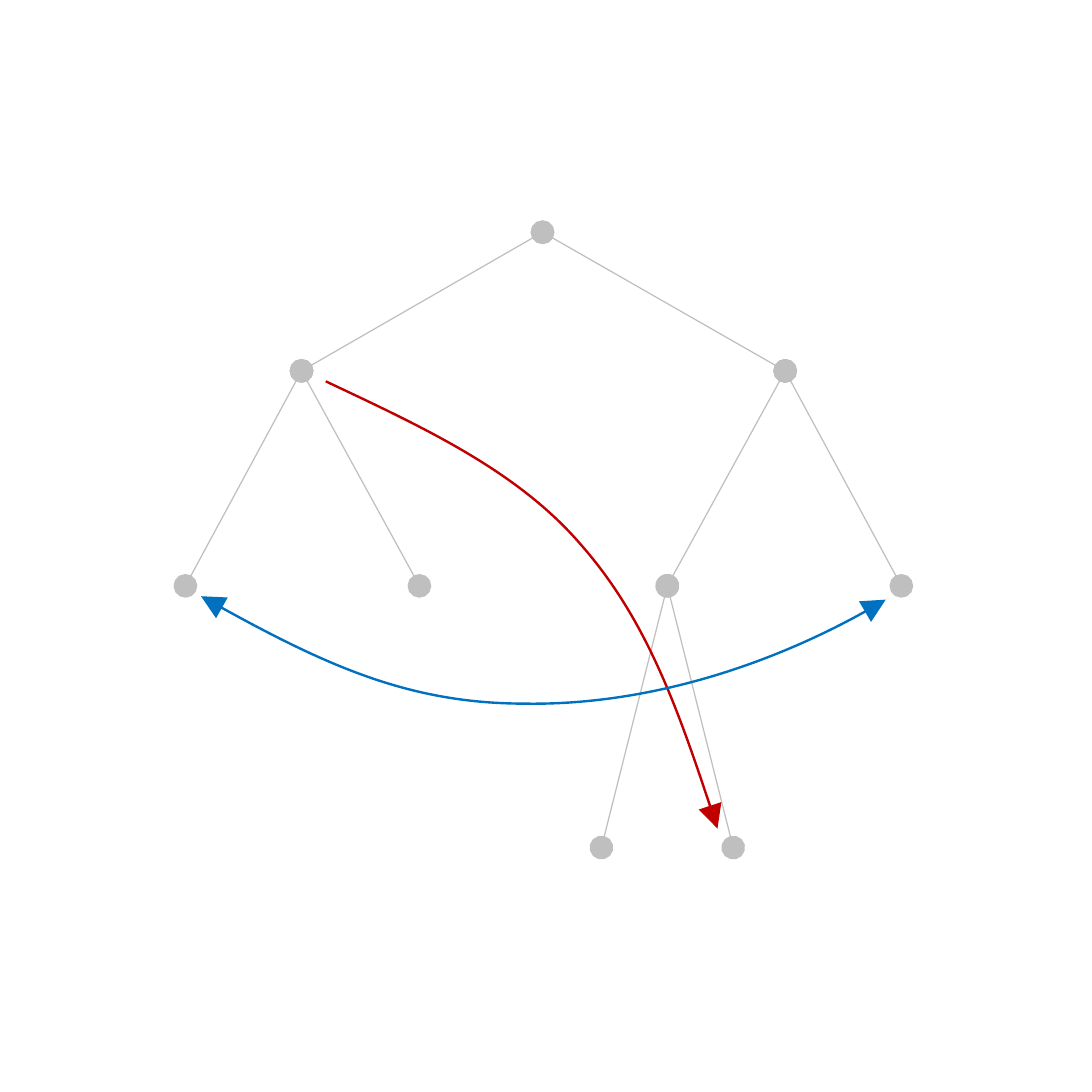
from lxml.etree import SubElement
from pptx import Presentation
from pptx.dml.color import RGBColor
from pptx.enum.shapes import MSO_CONNECTOR as Connector
from pptx.oxml.ns import qn
from pptx.util import Inches, Pt

GREY, RED, BLUE = "BFBFBF", "C00000", "0070C0"

# Tree: node centres in inches, then (child, parent) edges
nodes = {
    "root": (3.13, 1.34),
    "left": (1.74, 2.14), "right": (4.53, 2.14),
    "left outer": (1.07, 3.38), "left inner": (2.42, 3.38),
    "right inner": (3.85, 3.38), "right outer": (5.2, 3.38),
    "leaf left": (3.47, 4.89), "leaf right": (4.23, 4.89),
}
edges = [
    ("right", "root"), ("left", "root"),
    ("right inner", "right"), ("leaf left", "right inner"),
    ("right outer", "right"), ("leaf right", "right inner"),
    ("left outer", "left"), ("left inner", "left"),
]

# Curved arrows: colour, head, tail, start point and Bezier points
arrows = [
    (RED, None, "triangle",
     [(1.88, 2.2), (2.43, 2.46), (2.98, 2.71), (3.35, 3.14),
      (3.73, 3.57), (3.94, 4.17), (4.14, 4.78)]),
    (BLUE, "triangle", "triangle",
     [(1.16, 3.44), (1.85, 3.83), (2.38, 4.06), (3.03, 4.06),
      (3.69, 4.07), (4.48, 3.84), (5.11, 3.46)]),
]


def to_emu(point):
    return tuple(Inches(value) for value in point)


def style_line(shape, color, width, head, tail):
    shape.line.color.rgb = RGBColor.from_string(color)
    shape.line.width = Pt(width)
    outline = shape._element.spPr.find(qn("a:ln"))
    for tag, kind in (("a:headEnd", head), ("a:tailEnd", tail)):
        if kind:
            SubElement(outline, qn(tag), type=kind, w="lg", len="lg")


def add_edge(page, child, parent):
    edge = page.shapes.add_connector(
        Connector.STRAIGHT, *to_emu(nodes[child]), *to_emu(nodes[parent]))
    style_line(edge, GREY, 0.5, "oval", "oval")
    SubElement(edge._element.spPr, qn("a:effectLst"))


def add_curve(page, color, head, tail, points):
    start, *rest = [to_emu(point) for point in points]
    builder = page.shapes.build_freeform(*start)
    builder.add_line_segments(rest, close=False)
    curve = builder.convert_to_shape()
    curve.fill.background()
    curve.shadow.inherit = False
    style_line(curve, color, 1, head, tail)
    # Turn each three straight steps into one cubic Bezier
    outline = next(curve._element.iter(qn("a:path")))
    steps = outline.findall(qn("a:lnTo"))
    for first in range(0, len(steps), 3):
        bezier = SubElement(outline, qn("a:cubicBezTo"))
        for step in steps[first:first + 3]:
            bezier.append(step[0])
            outline.remove(step)


def main():
    deck = Presentation()
    deck.slide_width = deck.slide_height = Inches(6.3)
    page = deck.slides.add_slide(deck.slide_layouts[6])
    for child, parent in edges:
        add_edge(page, child, parent)
    for arrow in arrows:
        add_curve(page, *arrow)
    deck.save("out.pptx")


if __name__ == "__main__":
    main()
